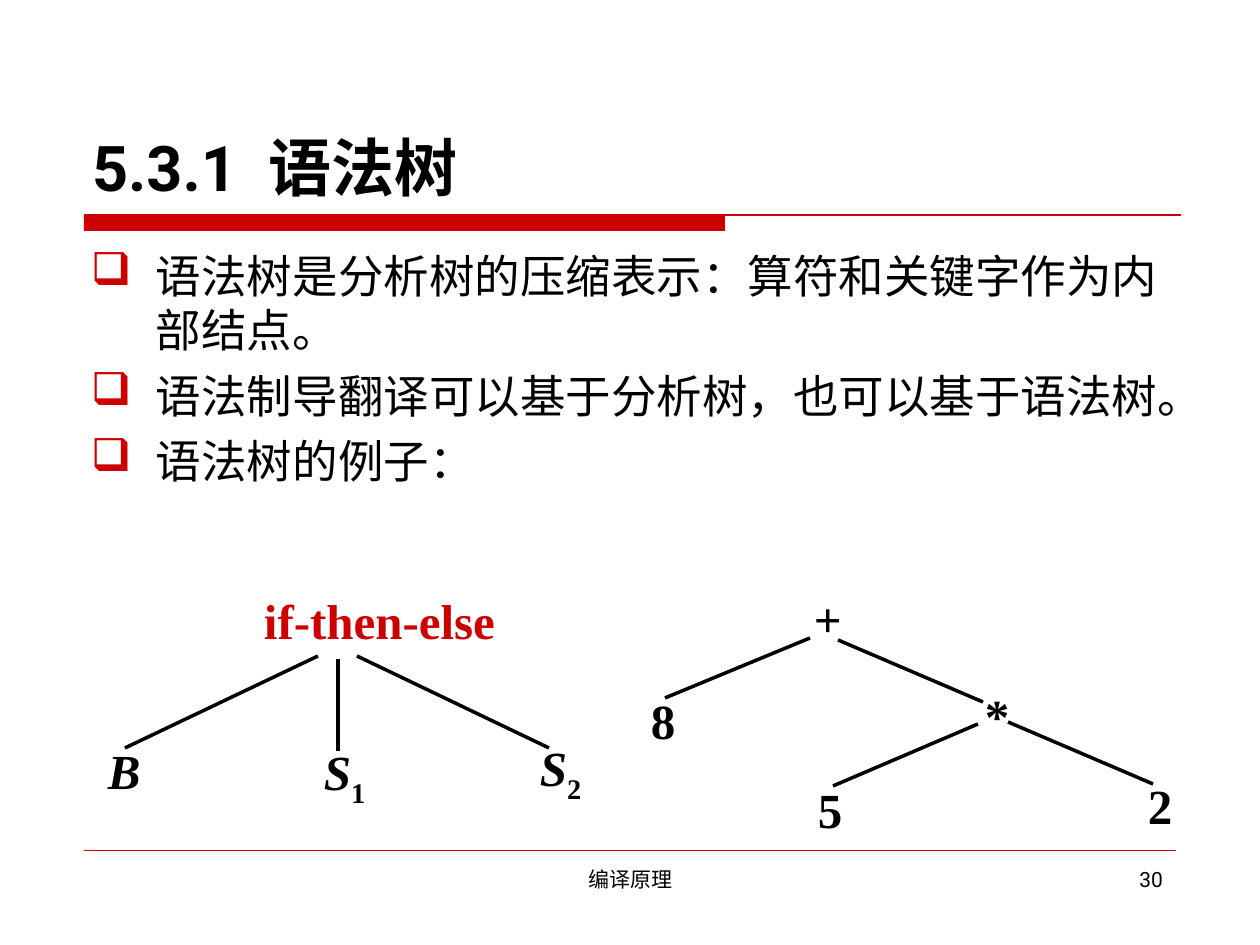
from dataclasses import dataclass

from lxml.etree import SubElement
from pptx import Presentation
from pptx.dml.color import RGBColor
from pptx.enum.shapes import MSO_CONNECTOR, MSO_SHAPE
from pptx.enum.text import MSO_ANCHOR, PP_ALIGN
from pptx.oxml.ns import qn
from pptx.util import Emu, Pt

PX = 914400 / 126


def px(length):
    return Emu(round(length * PX))


@dataclass(frozen=True)
class Theme:
    ink: str = "000000"
    accent: str = "CC0000"
    sans: str = "Roboto"
    chinese: str = "Noto Sans CJK SC"
    serif: str = "Times New Roman"
    title: int = 36
    body: int = 26
    node: int = 28
    footer: int = 12
    body_leading: int = 31
    body_gap: float = 6.5


def add_span(para, text, *, font, size, color, bold=False, italic=False,
             baseline=None, spacing=None):
    """Add a run; baseline is in thousandths of a percent, spacing in 1/100 pt."""
    span = para.add_run()
    span.text = text
    style = span.font
    style.name, style.size = font, Pt(size)
    style.bold, style.italic = bold, italic
    style.color.rgb = RGBColor.from_string(color)
    properties = span.font._element
    SubElement(properties, qn("a:ea"), typeface=Theme.chinese)
    for name, value in (("baseline", baseline), ("spc", spacing)):
        if value is not None:
            properties.set(name, str(value))


class SlideBuilder:
    def __init__(self, page, theme):
        self.page = page
        self.theme = theme

    def frame(self, left, top, width, height, inset=(13, 6), anchor=MSO_ANCHOR.TOP):
        """Add an empty wrapping text box and return its text frame."""
        box = self.page.shapes.add_textbox(px(left), px(top), px(width), px(height))
        frame = box.text_frame
        frame.word_wrap = True
        frame.vertical_anchor = anchor
        frame.margin_left = frame.margin_right = px(inset[0])
        frame.margin_top = frame.margin_bottom = px(inset[1])
        return frame

    def line(self, start, end, color, width):
        line = self.page.shapes.add_connector(
            MSO_CONNECTOR.STRAIGHT, *map(px, (*start, *end)))
        line.line.color.rgb = RGBColor.from_string(color)
        line.line.width = Pt(width)
        SubElement(line._element.spPr, qn("a:effectLst"))

    def bar(self, left, top, width, height):
        bar = self.page.shapes.add_shape(
            MSO_SHAPE.RECTANGLE, *map(px, (left, top, width, height)))
        bar.shadow.inherit = False
        bar.fill.solid()
        bar.fill.fore_color.rgb = RGBColor.from_string(self.theme.accent)
        bar.line.fill.background()

    def title(self, number, text):
        para = self.frame(79, 42, 1103, 168, anchor=MSO_ANCHOR.BOTTOM).paragraphs[0]
        style = dict(font=self.theme.sans, size=self.theme.title,
                     color=self.theme.ink, bold=True)
        add_span(para, number, **style)
        add_span(para, " ", spacing=900, **style)
        add_span(para, text, **style)

    def bullets(self, texts):
        theme = self.theme
        frame = self.frame(78, 242, 1103, 588)
        for index, text in enumerate(texts):
            para = frame.add_paragraph() if index else frame.paragraphs[0]
            para.line_spacing = Pt(theme.body_leading)
            para.space_before = Pt(theme.body_gap)
            properties = para._p.get_or_add_pPr()
            properties.set("marL", str(px(65)))
            properties.set("indent", str(-px(65)))
            color = SubElement(properties, qn("a:buClr"))
            SubElement(color, qn("a:srgbClr"), val=theme.accent)
            SubElement(properties, qn("a:buChar"), char="❑")
            add_span(para, text, font=theme.chinese, size=theme.body, color=theme.ink)

    def footer(self, text, left, width, align):
        para = self.frame(left, 861, width, 66).paragraphs[0]
        para.alignment = align
        add_span(para, text, font=self.theme.sans, size=self.theme.footer,
                 color=self.theme.ink)

    def node(self, text, left, top, width=62, subscript="", color=None, italic=False):
        para = self.frame(left, top, width, 64, inset=(3, 1)).paragraphs[0]
        para.alignment = PP_ALIGN.JUSTIFY
        style = dict(font=self.theme.serif, size=self.theme.node,
                     color=color or self.theme.ink, bold=True)
        add_span(para, text, italic=italic, **style)
        if subscript:
            add_span(para, subscript, baseline=-25000, **style)

    def branches(self, *ends):
        for start, end in ends:
            self.line(start, end, self.theme.ink, 2)


def main():
    deck = Presentation()
    deck.slide_width, deck.slide_height = px(1260), px(945)
    theme = Theme()
    slide = SlideBuilder(deck.slides.add_slide(deck.slide_layouts[6]), theme)

    slide.bar(84, 215, 641, 16)
    slide.line((84, 215), (1181, 215), theme.accent, 0.75)
    slide.line((84, 850), (1176, 850), theme.accent, 0.25)
    slide.footer("编译原理", 431, 399, PP_ALIGN.CENTER)
    slide.footer("30", 903, 273, PP_ALIGN.RIGHT)

    slide.title("5.3.1", "语法树")
    slide.bullets([
        "语法树是分析树的压缩表示：算符和关键字作为内部结点。",
        "语法制导翻译可以基于分析树，也可以基于语法树。",
        "语法树的例子：",
    ])

    slide.node("if-then-else", 261, 590, width=248, color=theme.accent)
    slide.node("B", 105, 740, italic=True)
    slide.node("S", 321, 741, subscript="1", italic=True)
    slide.node("S", 537, 737, subscript="2", italic=True)
    slide.branches(((318, 656), (125, 748)),
                   ((338, 659), (338, 751)),
                   ((357, 656), (549, 748)))

    for text, left, top in (("+", 811, 588), ("8", 648, 690), ("*", 982, 685),
                            ("5", 815, 779), ("2", 1145, 775)):
        slide.node(text, left, top)
    slide.branches(((810, 638), (665, 698)),
                   ((838, 640), (983, 702)),
                   ((978, 724), (833, 786)),
                   ((1008, 722), (1153, 784)))

    deck.save("out.pptx")


if __name__ == "__main__":
    main()
